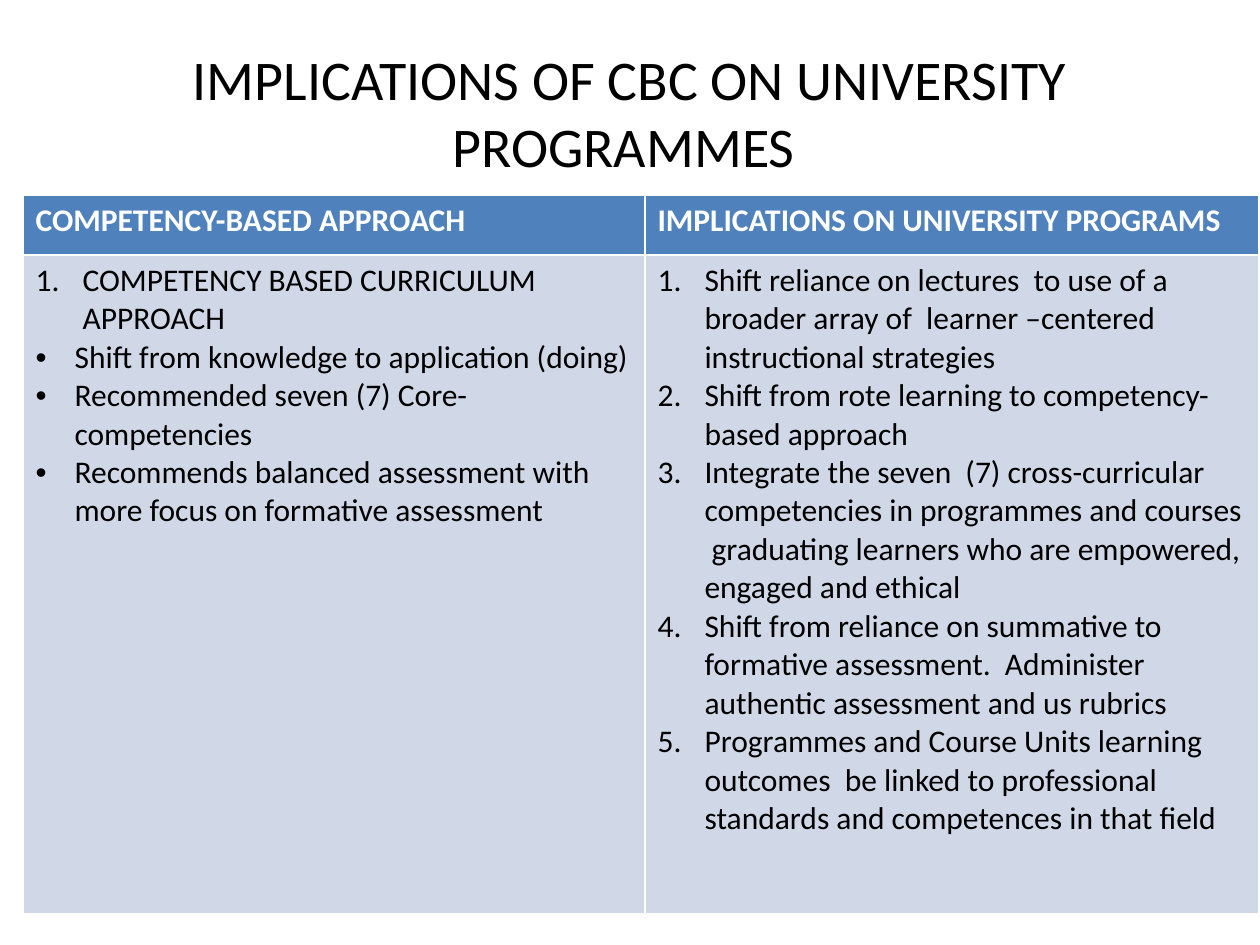
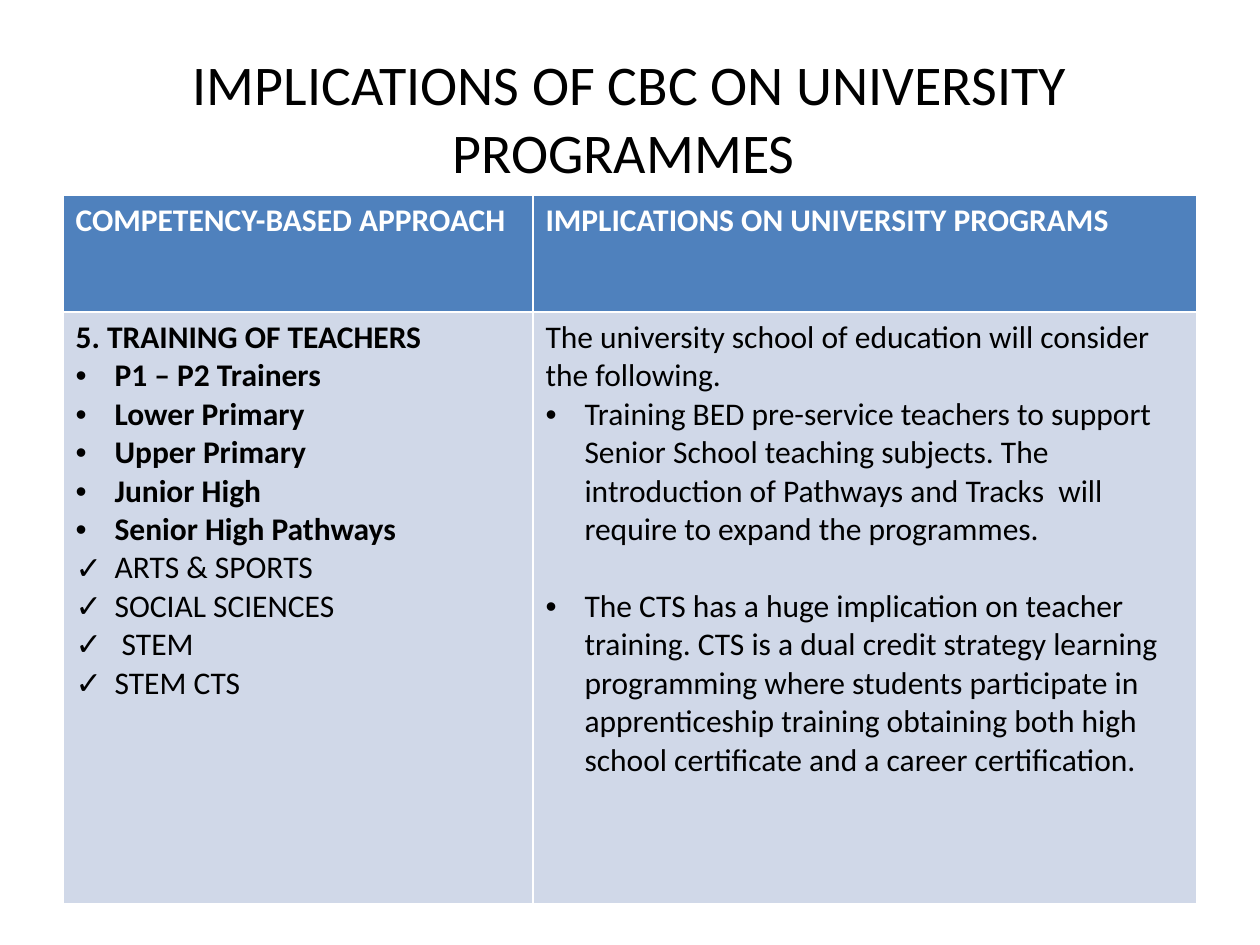
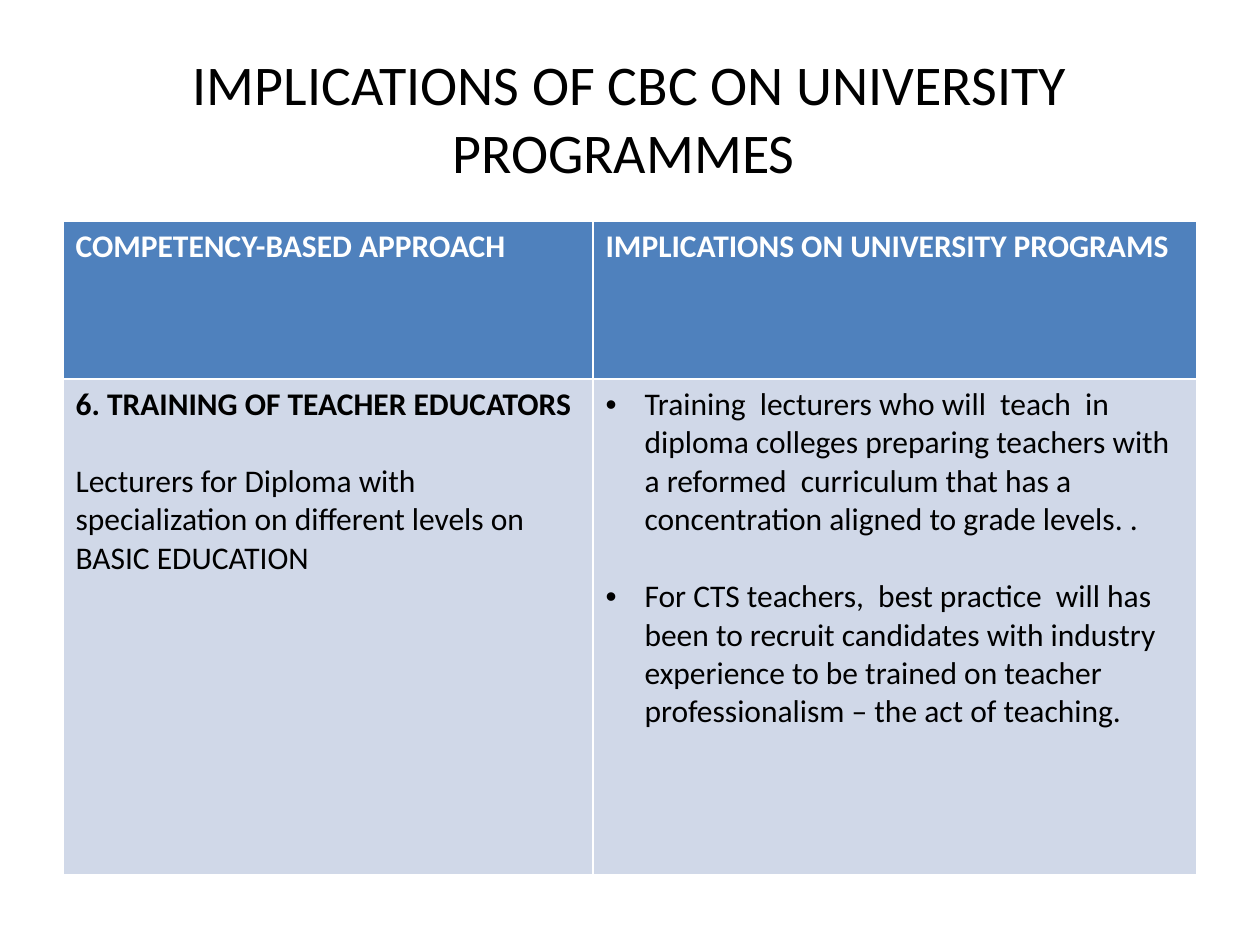
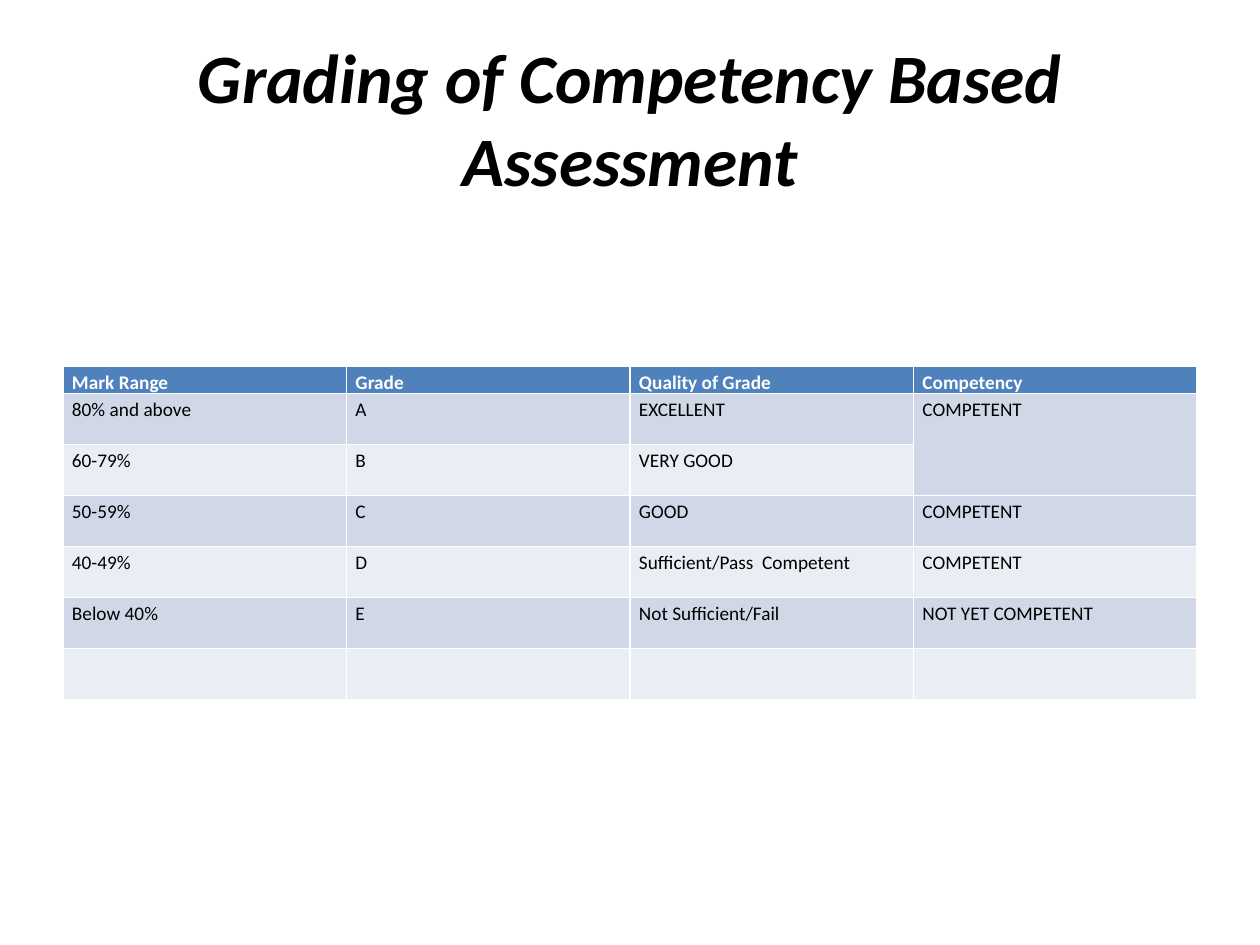
from dataclasses import dataclass

from lxml.etree import SubElement
from pptx import Presentation
from pptx.dml.color import RGBColor
from pptx.enum.text import MSO_ANCHOR as Anchor, PP_ALIGN as Align
from pptx.oxml.ns import qn
from pptx.util import Pt

SCALE = 914400 / 126
FONT = "Calibri"
BLACK, WHITE = "000000", "FFFFFF"
HEADER_FILL, BODY_FILLS = "4F81BD", ("D0D8E8", "E9EDF4")
NUMBER, DOT, TICK = "1.", "•", "✓"
INDENTS = {NUMBER: 47, DOT: 39, TICK: 39}
PARAGRAPH_GAP = 22

TITLE_BOX = (63, 38, 1134, 158)
IMPLICATIONS_TITLE = "IMPLICATIONS OF CBC ON UNIVERSITY PROGRAMMES "
IMPLICATIONS_HEADER = ("COMPETENCY-BASED APPROACH", "IMPLICATIONS ON UNIVERSITY PROGRAMS")
GRADE_MARGINS = {"margin_left": 9, "margin_top": 1, "margin_right": 9, "margin_bottom": 0}
GRADE_SPACING = {"line_spacing": 1.15, "space_after": Pt(10)}


@dataclass
class Line:
    """One paragraph of a table cell."""
    text: str
    mark: str = ""
    bold: bool = False
    gap: int = 0


CURRICULUM = [
    Line("COMPETENCY BASED CURRICULUM APPROACH", NUMBER),
    Line("Shift from knowledge to application (doing)", DOT),
    Line("Recommended seven (7) Core-competencies", DOT),
    Line("Recommends balanced assessment with more focus on formative assessment", DOT),
]
CURRICULUM_IMPLICATIONS = [Line(text, NUMBER) for text in (
    "Shift reliance on lectures  to use of a broader array of  learner –centered "
    "instructional strategies",
    "Shift from rote learning to competency-based approach",
    "Integrate the seven  (7) cross-curricular competencies in programmes and courses  "
    "graduating learners who are empowered, engaged and ethical",
    "Shift from reliance on summative to formative assessment.  Administer authentic "
    "assessment and us rubrics",
    "Programmes and Course Units learning outcomes  be linked to professional   standards "
    "and competences in that field",
)]

TEACHERS = [
    Line("5. TRAINING OF TEACHERS", bold=True),
    *(Line(text, DOT, True) for text in (
        "P1 – P2 Trainers", "Lower Primary", "Upper Primary", "Junior High",
        "Senior High Pathways")),
    *(Line(text, TICK) for text in ("ARTS & SPORTS", "SOCIAL SCIENCES", " STEM", "STEM CTS")),
]
TEACHER_IMPLICATIONS = [
    Line("The university school of education will consider the following."),
    Line("Training BED pre-service teachers to support  Senior School teaching subjects. "
         "The introduction of Pathways and Tracks  will require to expand the programmes.", DOT),
    Line("The CTS has a huge implication on teacher training. CTS is a dual credit strategy "
         "learning programming where students participate in apprenticeship training obtaining "
         "both high school certificate and a career certification.", DOT, gap=PARAGRAPH_GAP),
]

EDUCATORS = [
    Line("6. TRAINING OF TEACHER EDUCATORS", bold=True),
    Line("Lecturers for Diploma with specialization on different levels on BASIC EDUCATION",
         gap=PARAGRAPH_GAP),
]
EDUCATOR_IMPLICATIONS = [
    Line("Training  lecturers who will  teach  in diploma colleges preparing teachers with "
         "a reformed  curriculum that has a concentration aligned to grade levels. .", DOT),
    Line("For CTS teachers,  best practice  will has been to recruit candidates with industry "
         "experience to be trained on teacher professionalism – the act of teaching.",
         DOT, gap=PARAGRAPH_GAP),
]

GRADES = [
    ("Mark Range", "Grade", "Quality of Grade", "Competency"),
    ("80% and above", "A", "EXCELLENT", "COMPETENT"),
    ("60-79%", "B", "VERY GOOD", ""),
    ("50-59%", "C", "GOOD", "COMPETENT"),
    ("40-49%", "D", "Sufficient/Pass  Competent", "COMPETENT"),
    ("Below 40%", "E", "Not Sufficient/Fail", "NOT YET COMPETENT"),
    ("", "", "", ""),
]


def px(length):
    """Turn px into EMU."""
    return round(length * SCALE)


def color(value):
    """Turn a hex string into a colour."""
    return RGBColor.from_string(value)


def set_values(target, values):
    """Set each named attribute of the target."""
    for name, value in values.items():
        setattr(target, name, value)


def add_run(paragraph, text, size, ink, bold=False, italic=False):
    """Add formatted text to a paragraph."""
    run = paragraph.add_run()
    run.text = text
    set_values(run.font, {"name": FONT, "size": Pt(size), "bold": bold, "italic": italic})
    run.font.color.rgb = color(ink)


def set_mark(paragraph, mark):
    """Give a paragraph a hanging number or bullet."""
    properties = paragraph._p.get_or_add_pPr()
    indent = px(INDENTS[mark])
    properties.set("marL", str(indent))
    properties.set("indent", str(-indent))
    if mark == NUMBER:
        SubElement(properties, qn("a:buFont"), typeface="+mj-lt")
        SubElement(properties, qn("a:buAutoNum"), type="arabicPeriod")
    else:
        SubElement(properties, qn("a:buFont"), typeface="Arial")
        SubElement(properties, qn("a:buChar"), char=mark)


def add_title(slide, text, box=TITLE_BOX, size=32, **style):
    """Add a centred title."""
    frame = slide.shapes.add_textbox(*map(px, box)).text_frame
    set_values(frame, {"word_wrap": True, "vertical_anchor": Anchor.MIDDLE})
    paragraph = frame.paragraphs[0]
    paragraph.alignment = Align.CENTER
    add_run(paragraph, text, size, BLACK, **style)


def fill_cell(cell, lines, size, ink, fill, spacing):
    """Fill a cell with a colour and its paragraphs."""
    cell.fill.solid()
    cell.fill.fore_color.rgb = color(fill)
    frame = cell.text_frame
    for index, line in enumerate(lines):
        paragraph = frame.add_paragraph() if index else frame.paragraphs[0]
        set_values(paragraph, spacing)
        if line.gap:
            paragraph.space_before = Pt(line.gap)
        if line.mark:
            set_mark(paragraph, line.mark)
        add_run(paragraph, line.text, size, ink, line.bold)


def add_table(slide, left, top, widths, heights, rows, size=18, margins=None, spacing=None):
    """Add a table with a header row and banded body rows."""
    box = map(px, (left, top, sum(widths), sum(heights)))
    table = slide.shapes.add_table(len(heights), len(widths), *box).table
    for column, width in zip(table.columns, widths):
        column.width = px(width)
    for row_index, (row, height, contents) in enumerate(zip(table.rows, heights, rows)):
        row.height = px(height)
        header = row_index == 0
        ink = WHITE if header else BLACK
        fill = HEADER_FILL if header else BODY_FILLS[(row_index - 1) % 2]
        for cell, content in zip(row.cells, contents):
            lines = content
            if isinstance(content, str):
                lines = [Line(content, bold=header)] if content else []
            if lines:
                set_values(cell, {name: px(value) for name, value in (margins or {}).items()})
            fill_cell(cell, lines, size, ink, fill, spacing or {})
    return table


def add_slide(presentation):
    """Add a blank slide."""
    return presentation.slides.add_slide(presentation.slide_layouts[6])


def add_implications(presentation, left, top, widths, heights, body, title_box=TITLE_BOX):
    """Add a slide that sets an approach beside its implications."""
    slide = add_slide(presentation)
    add_title(slide, IMPLICATIONS_TITLE, title_box)
    add_table(slide, left, top, widths, heights, (IMPLICATIONS_HEADER, body))


def add_grading(presentation):
    """Add the slide with the grading table."""
    slide = add_slide(presentation)
    add_title(slide, "Grading of Competency Based Assessment", size=39.6, bold=True, italic=True)
    heights = [8] + [51] * (len(GRADES) - 1)
    table = add_table(slide, 63, 366, [283.5] * 4, heights, GRADES, 11,
                      GRADE_MARGINS, GRADE_SPACING)
    table.cell(1, 3).merge(table.cell(2, 3))


def main():
    """Build and save the presentation."""
    presentation = Presentation()
    set_values(presentation, {"slide_width": px(1260), "slide_height": px(945)})
    add_implications(presentation, 23, 195, (622, 614), (60, 659),
                     (CURRICULUM, CURRICULUM_IMPLICATIONS), (63, 0, 1134, 224))
    add_implications(presentation, 63, 195, (470, 664), (117, 592),
                     (TEACHERS, TEACHER_IMPLICATIONS))
    add_implications(presentation, 63, 221, (530, 604), (158, 496),
                     (EDUCATORS, EDUCATOR_IMPLICATIONS))
    add_grading(presentation)
    presentation.save("out.pptx")


if __name__ == "__main__":
    main()
